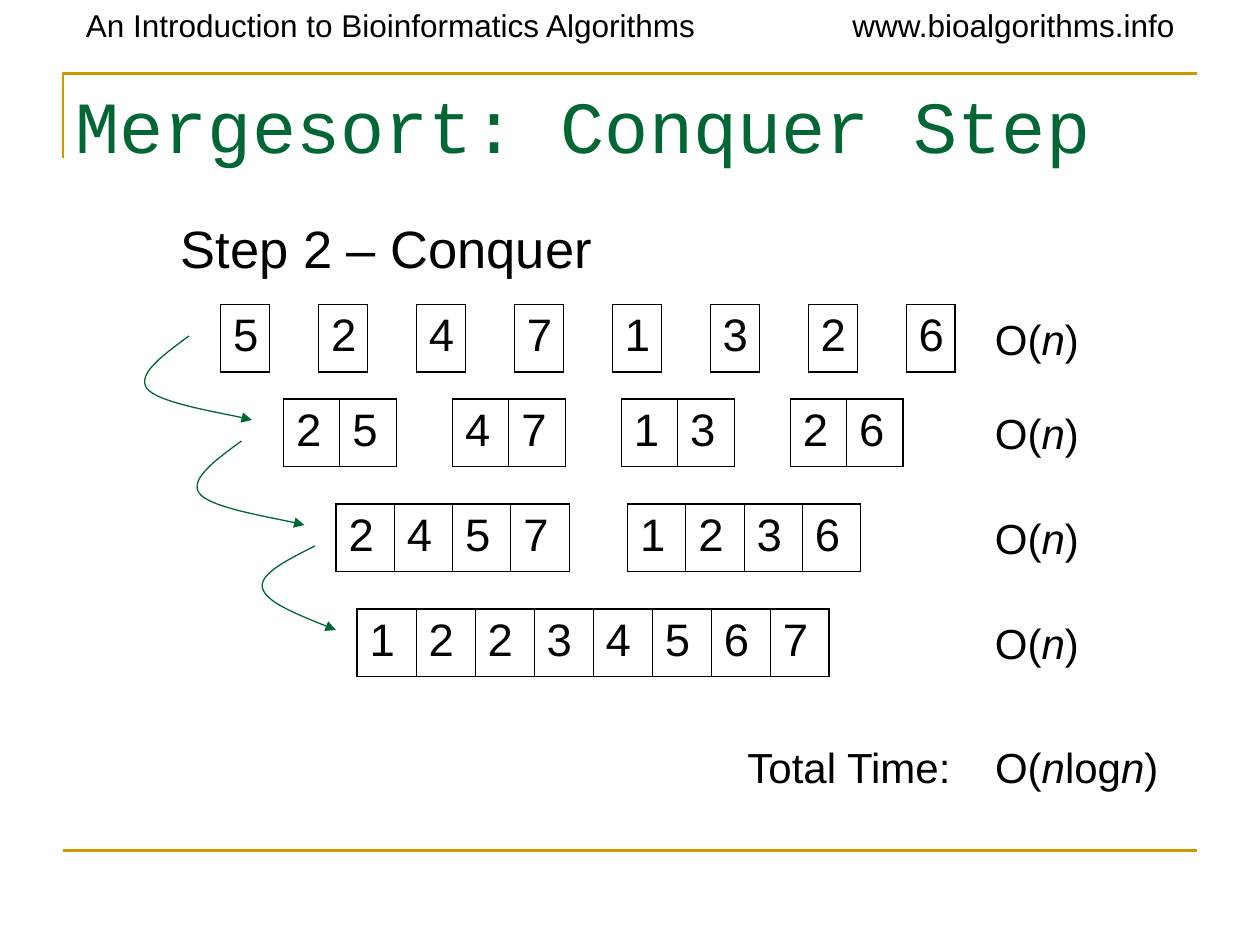
import pptx
import pptx.dml.color
import pptx.enum.shapes
import pptx.enum.text
import pptx.oxml.ns
import pptx.util
from lxml import etree

Pt = pptx.util.Pt
qn = pptx.oxml.ns.qn
BLACK = pptx.dml.color.RGBColor(0x00, 0x00, 0x00)
GREEN = pptx.dml.color.RGBColor(0x00, 0x66, 0x33)
GOLD = pptx.dml.color.RGBColor(0xCC, 0x99, 0x00)

MERGE_ROWS = [
    (126, 174, 420, "5 2 4 7 1 3 2 6"),
    (162, 228, 354, "25 47 13 26"),
    (192, 288, 300, "2457 1236"),
    (204, 348, 270, "12234567"),
]
MERGE_ARROWS = [
    [(108, 192), (93, 203), (78, 214), (84, 222), (90, 230), (133, 237), (144, 240)],
    [(138, 252), (123, 263), (108, 274), (114, 282), (120, 290), (163, 297), (174, 300)],
    [(180, 312), (164, 320), (148, 328), (150, 336), (152, 344), (172, 352), (192, 360)],
]


class SlideWriter:
    sans = "Arial"
    mono = "Courier New"
    row_height = 38.5
    outer_border = 1.08
    inner_border = 0.45

    def __init__(self, page):
        self.page = page

    def format(self, paragraph, size, name=sans, color=BLACK):
        paragraph.alignment = pptx.enum.text.PP_ALIGN.LEFT
        paragraph.font.size = Pt(size)
        paragraph.font.name = name
        paragraph.font.color.rgb = color

    def place(self, shape, left, top, width, height):
        shape.left, shape.top = Pt(left), Pt(top)
        shape.width, shape.height = Pt(width), Pt(height)

    def title(self, text, left, top, width, height):
        box = self.page.shapes.title
        self.place(box, left, top, width, height)
        frame = box.text_frame
        frame.text = text
        frame.auto_size = pptx.enum.text.MSO_AUTO_SIZE.NONE
        frame.vertical_anchor = pptx.enum.text.MSO_ANCHOR.TOP
        self.format(frame.paragraphs[0], 42, self.mono, GREEN)

    def body(self, text, left, top, width, height):
        box = self.page.placeholders[1]
        self.place(box, left, top, width, height)
        frame = box.text_frame
        frame.text = text
        frame.auto_size = pptx.enum.text.MSO_AUTO_SIZE.NONE
        paragraph = frame.paragraphs[0]
        properties = paragraph._p.get_or_add_pPr()
        properties.set("marL", str(Pt(27)))
        properties.set("indent", str(-Pt(27)))
        etree.SubElement(properties, qn("a:buNone"))
        paragraph.space_before = Pt(0)
        self.format(paragraph, 30)

    def label(self, text, left, top, width, height, size=24, wrap=False):
        box = self.page.shapes.add_textbox(Pt(left), Pt(top), Pt(width), Pt(height))
        frame = box.text_frame
        frame.word_wrap = wrap
        frame.auto_size = pptx.enum.text.MSO_AUTO_SIZE.SHAPE_TO_FIT_TEXT
        paragraph = frame.paragraphs[0]
        self.format(paragraph, size)
        for index, part in enumerate(text.split("|")):
            span = paragraph.add_run()
            span.text = part
            if index % 2:
                span.font.italic = True

    def line(self, left, right, top):
        rule = self.page.shapes.add_connector(
            pptx.enum.shapes.MSO_CONNECTOR.STRAIGHT, Pt(left), Pt(top), Pt(right), Pt(top))
        rule.line.color.rgb = GOLD
        rule.line.width = Pt(1.5)
        etree.SubElement(rule._element.spPr, qn("a:effectLst"))

    def outline(self, points, color, width):
        start, *others = [(Pt(x), Pt(y)) for x, y in points]
        builder = self.page.shapes.build_freeform(*start)
        builder.add_line_segments(others, close=False)
        shape = builder.convert_to_shape()
        shape.shadow.inherit = False
        shape.fill.background()
        shape.line.color.rgb = color
        shape.line.width = Pt(width)
        return shape

    def curved_arrow(self, points):
        properties = self.outline(points, GREEN, 0.75)._element.spPr
        segments = list(properties.iter(qn("a:lnTo")))
        for first in range(0, len(segments), 3):
            curve = etree.Element(qn("a:cubicBezTo"))
            segments[first].addprevious(curve)
            for segment in segments[first:first + 3]:
                curve.append(segment[0])
                segment.getparent().remove(segment)
        etree.SubElement(properties.find(qn("a:ln")), qn("a:tailEnd"), type="triangle")

    def border(self, cell, side, width):
        edge = etree.SubElement(cell._tc.get_or_add_tcPr(), qn(f"a:ln{side}"), w=str(Pt(width)))
        if width:
            fill = etree.SubElement(edge, qn("a:solidFill"))
            etree.SubElement(fill, qn("a:srgbClr"), val=str(BLACK))
        else:
            etree.SubElement(edge, qn("a:noFill"))

    def number_row(self, left, top, width, digits):
        count = len(digits)
        table = self.page.shapes.add_table(
            1, count, Pt(left), Pt(top), Pt(width), Pt(self.row_height)).table
        table.first_row = False
        table.horz_banding = False
        for index, digit in enumerate(digits):
            table.columns[index].width = Pt(width / count)
            cell = table.cell(0, index)
            filled = digit != " "
            edge = self.outer_border if filled else 0
            self.border(cell, "L", self.inner_border if index else self.outer_border)
            self.border(cell, "R", self.inner_border if index < count - 1 else self.outer_border)
            self.border(cell, "T", edge)
            self.border(cell, "B", edge)
            cell.fill.background()
            if filled:
                cell.text = digit
                self.format(cell.text_frame.paragraphs[0], 26)


def main():
    deck = pptx.Presentation()
    deck.slide_width, deck.slide_height = Pt(720), Pt(540)
    writer = SlideWriter(deck.slides.add_slide(deck.slide_layouts[1]))

    writer.outline([(36, 90), (36, 42), (684, 42)], GOLD, 1.5)
    writer.line(36, 684, 486)
    writer.label("An Introduction to Bioinformatics Algorithms", 42, 0, 396, 29, 18, True)
    writer.label("www.bioalgorithms.info", 480, 0, 210, 29, 18, True)
    writer.title("Mergesort: Conquer Step", 36, 42, 648, 70)
    writer.body("Step 2 – Conquer", 96, 120, 552, 324)

    for left, top, width, digits in MERGE_ROWS:
        writer.number_row(left, top, width, digits)
        writer.label("O(|n|)", 561.5, top + 1.5, 64, 36)
    for points in MERGE_ARROWS:
        writer.curved_arrow(points)

    writer.label("O(|n|log|n|)", 561.5, 420, 110, 36)
    writer.label("Total Time:", 420, 420, 135, 36)
    deck.save("out.pptx")


if __name__ == "__main__":
    main()
